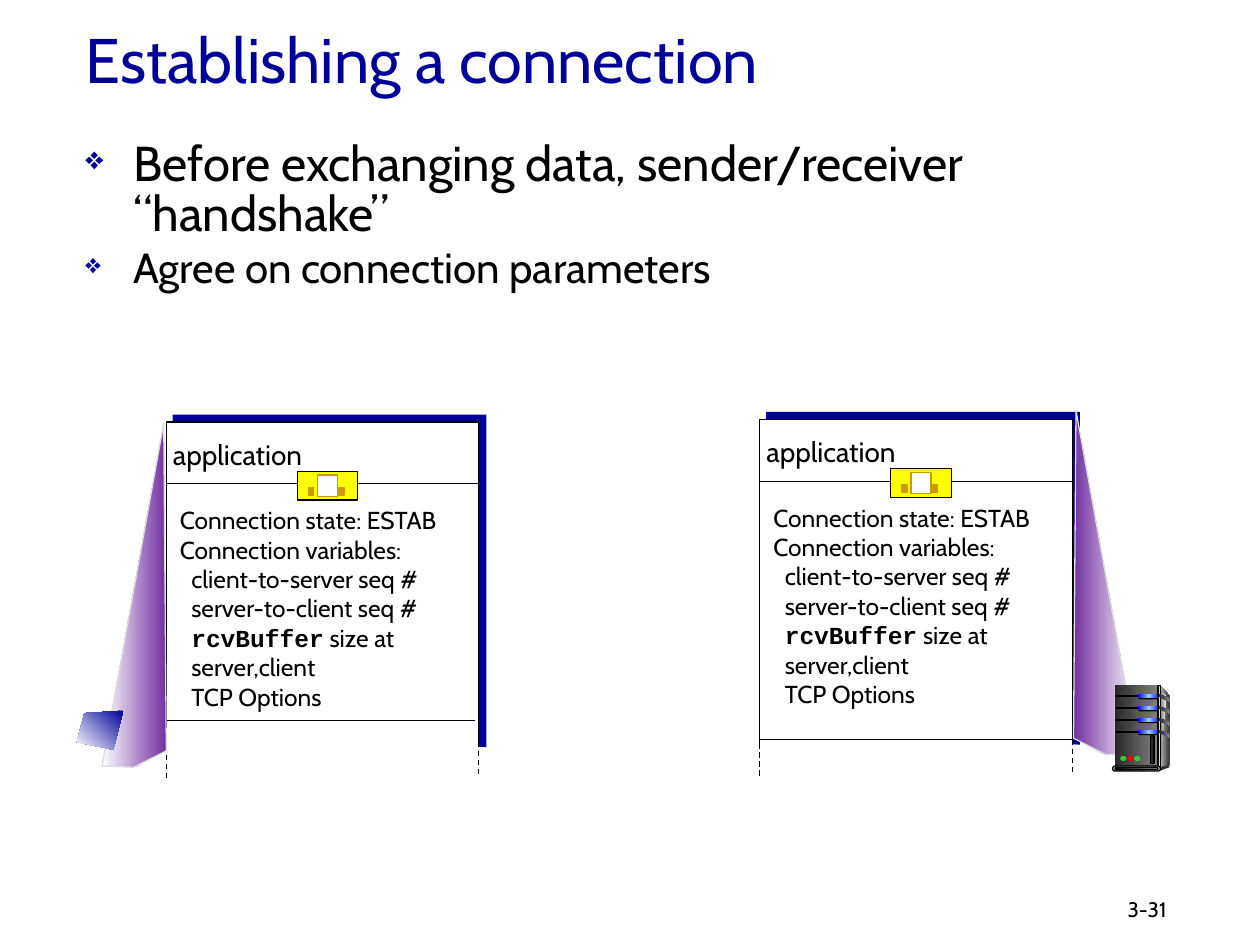
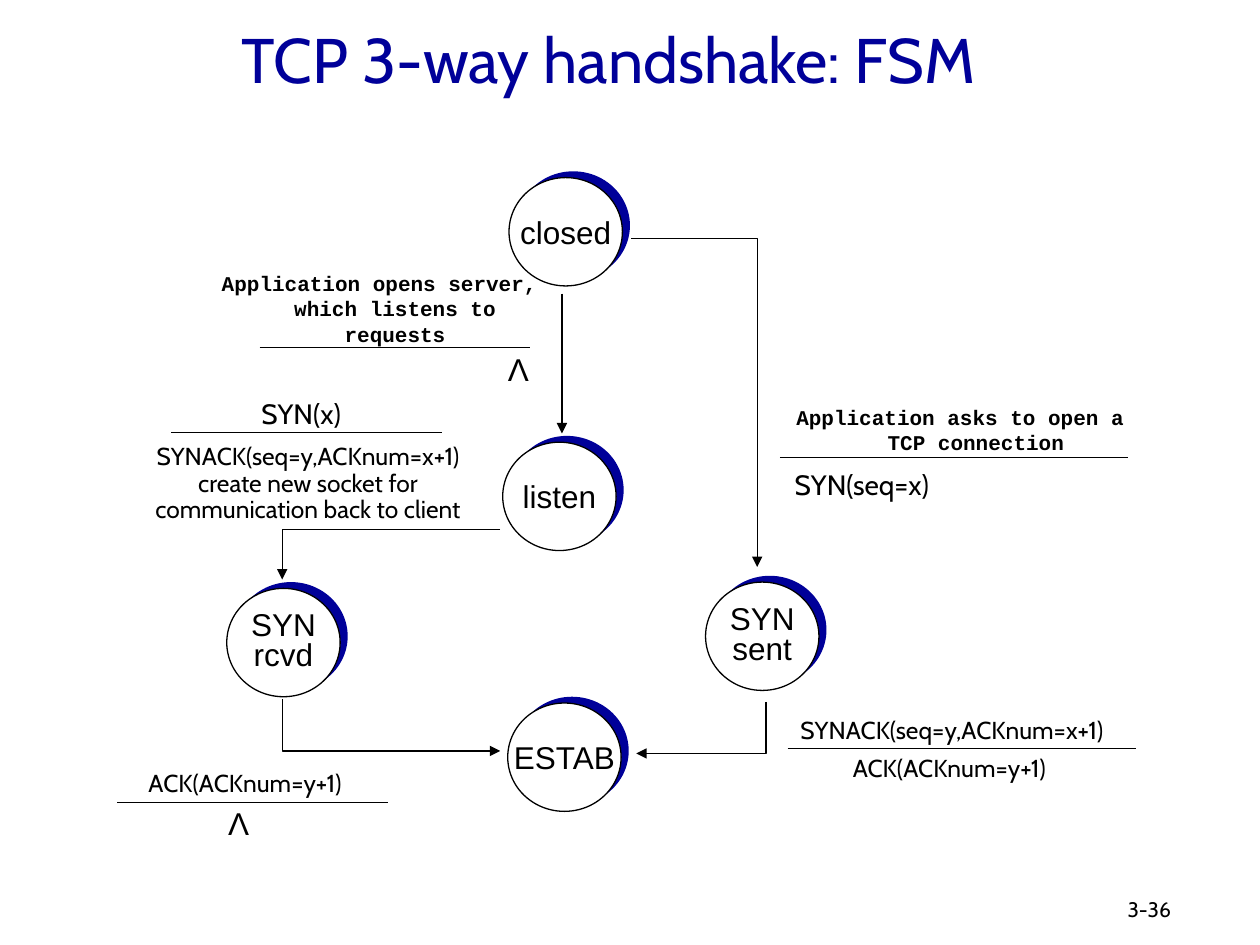
from lxml.etree import SubElement
from pptx import Presentation
from pptx.dml.color import RGBColor
from pptx.enum.dml import MSO_LINE
from pptx.enum.shapes import MSO_CONNECTOR, MSO_SHAPE
from pptx.enum.text import MSO_ANCHOR, PP_ALIGN
from pptx.oxml.ns import qn
from pptx.util import Inches, Pt

COLORS = {
    "navy": "000099", "black": "000000", "white": "FFFFFF", "yellow": "FFFF00",
    "ochre": "CC9900", "purple": "7030A0", "light": "DDDDDD", "dark": "333333",
    "coal": "292929", "gray": "808080", "pale": "F8F8F8", "blue": "0000FF",
    "sky": "99CCFF", "green": "33CC33", "red": "FF0000",
}
SANS, ARIAL, MONO = "Cabin", "Arial", "Courier New"
WIDTH, HEIGHT = 10, 7.5
TITLE_BOX = (0.58, 0.05, 8.5, 0.83)
NUMBER_BOX = (8.85, 7.07, 0.99, 0.3)

# ---- Content: establishing a connection ----
BULLETS = [("Before exchanging data, sender/receiver “handshake”", 28),
           ("Agree on connection parameters", 24)]
CONNECTION_STATE = ["Connection state: ESTAB", "Connection variables:"]
CONNECTION_VARIABLES = [
    "client-to-server seq #", "server-to-client seq #",
    [("rcvBuffer", MONO, True), (" size at", SANS, False)],
    "server,client", "TCP Options",
]
# Body corner, bottom rule (offset from the corner), wedge edge and direction
PANELS = [
    {"corner": (6.03, 3.33), "rule": (0, 2.54), "edge": (8.52, 3.26), "out": 1},
    {"corner": (1.32, 3.35), "rule": (-0.03, 2.37), "edge": (1.32, 3.36), "out": -1},
]
WEDGE = [(0.51, 2.72), (0.02, 0), (0, 2.6), (0.26, 2.73)]
LAPTOP_SCREEN = [(0.98, 5.64), (0.67, 5.66), (0.61, 5.89), (0.9, 5.95)]

# ---- Content: state machine ----
STATES = [  # lines, left and top of the face
    (["closed"], 4.04, 1.41),
    (["listen"], 3.99, 3.51),
    (["SYN", "rcvd"], 1.8, 4.67),
    (["SYN", "sent"], 5.6, 4.62),
    (["ESTAB"], 4.03, 5.58),
]
STATE_SIZE = (0.9, 0.86)
TRANSITIONS = [  # corner points, the arrow ends at the last
    [(5.01, 1.89), (6.01, 1.89), (6.01, 4.5)],
    [(4.46, 2.33), (4.46, 3.44)],
    [(3.97, 4.2), (2.24, 4.2), (2.24, 4.6)],
    [(2.24, 5.55), (2.24, 5.96), (3.97, 5.96)],
    [(6.08, 5.57), (6.08, 5.98), (5.05, 5.98)],
]
EVENTS = [  # what the application does
    ("Application asks to open a TCP connection", (6.04, 3.16, 3.16, 0.5)),
    ("Application opens server, which listens to requests", (1.6, 2.1, 2.82, 0.71)),
]
MESSAGES = [  # lines, box, size, font, line spacing
    (["Λ"], (3.93, 2.73, 0.37, 0.4), 18, ARIAL, None),
    (["Λ"], (1.71, 6.33, 0.37, 0.4), 18, ARIAL, None),
    (["SYN(seq=x)"], (6.15, 3.66, 1.38, 0.37), 16, SANS, None),
    (["SYN(x)"], (1.95, 3.1, 0.88, 0.37), 16, SANS, None),
    (["SYNACK(seq=y,ACKnum=x+1)", "create new socket for",
      "communication back to client"], (1.02, 3.48, 2.85, 0.72), 14, SANS, 0.9),
    (["SYNACK(seq=y,ACKnum=x+1)"], (6.13, 5.65, 2.85, 0.31), 14, SANS, 0.9),
    (["ACK(ACKnum=y+1)"], (6.58, 5.95, 1.91, 0.31), 14, SANS, 0.9),
    (["ACK(ACKnum=y+1)"], (0.99, 6.07, 1.91, 0.31), 14, SANS, 0.9),
]
FRACTION_BARS = [(6.19, 3.63, 2.76), (2.06, 2.76, 2.15), (1.36, 3.43, 2.15),
                 (6.25, 5.94, 2.77), (0.93, 6.37, 2.15)]  # left, top, length


# ---- Drawing helpers ----
def rgb(name):
    return RGBColor.from_string(COLORS[name])


def paint(shape, fill=None, line=None, angle=0):
    """Fill with one colour name, or with a gradient for a list of names."""
    shape.shadow.inherit = False
    if isinstance(fill, list):
        shape.fill.gradient()
        gradient = shape._element.spPr.find(qn("a:gradFill"))
        gradient.find(qn("a:lin")).set("ang", str(angle * 60000))
        stops = gradient.find(qn("a:gsLst"))
        for stop in list(stops):
            stops.remove(stop)
        for index, name in enumerate(fill):
            position = index * 100000 // (len(fill) - 1)
            stop = SubElement(stops, qn("a:gs"), pos=str(position))
            SubElement(stop, qn("a:srgbClr"), val=COLORS[name])
    elif fill:
        shape.fill.solid()
        shape.fill.fore_color.rgb = rgb(fill)
    else:
        shape.fill.background()
    if line:
        shape.line.color.rgb = rgb(line)
        shape.line.width = Pt(0.75)
    else:
        shape.line.fill.background()
    return shape


def add_block(shapes, box, fill, line=None, kind=MSO_SHAPE.RECTANGLE):
    shape = paint(shapes.add_shape(kind, *map(Inches, box)), fill, line)
    if kind == MSO_SHAPE.ROUNDED_RECTANGLE:
        shape.adjustments[0] = 0.5
    return shape


def add_outline(shapes, points, fill=None, line=None, angle=0, close=True):
    points = [(Inches(x), Inches(y)) for x, y in points]
    builder = shapes.build_freeform(*points[0])
    builder.add_line_segments(points[1:], close=close)
    return paint(builder.convert_to_shape(), fill, line, angle)


def add_line(shapes, start, end, dashed=False):
    line = shapes.add_connector(MSO_CONNECTOR.STRAIGHT, *map(Inches, start + end))
    line.line.color.rgb = rgb("black")
    line.line.width = Pt(0.75)
    if dashed:
        line.line.dash_style = MSO_LINE.DASH
    SubElement(line._element.spPr, qn("a:effectLst"))
    return line


def add_arrowhead(shape):
    line = shape._element.spPr.find(qn("a:ln"))
    SubElement(line, qn("a:tailEnd"), type="triangle")


def write(frame, lines, size, font=SANS, color="black", bold=False,
          align=PP_ALIGN.LEFT, spacing=None):
    """Write lines; a line is a string or a list of (text, font, bold) runs."""
    for index, line in enumerate(lines):
        paragraph = frame.paragraphs[0] if index == 0 else frame.add_paragraph()
        paragraph.alignment = align
        if spacing:
            paragraph.line_spacing = spacing
        for text, face, heavy in ([(line, font, bold)] if isinstance(line, str) else line):
            run = paragraph.add_run()
            run.text = text
            run.font.name, run.font.bold, run.font.size = face, heavy, Pt(size)
            run.font.color.rgb = rgb(color)
    return frame


def add_text(shapes, box, lines, size, wrap=True, anchor=MSO_ANCHOR.TOP, **style):
    frame = shapes.add_textbox(*map(Inches, box)).text_frame
    frame.word_wrap = wrap
    frame.vertical_anchor = anchor
    return write(frame, lines, size, **style)


def set_indent(paragraph, left, first=0):
    properties = paragraph._p.get_or_add_pPr()
    properties.set("marL", str(Inches(left)))
    properties.set("indent", str(Inches(first)))
    return properties


def start_slide(presentation, title, number, align=PP_ALIGN.LEFT):
    slide = presentation.slides.add_slide(presentation.slide_layouts[6])
    add_text(slide.shapes, TITLE_BOX, [title], 36, color="navy", align=align,
             anchor=MSO_ANCHOR.MIDDLE)
    add_text(slide.shapes, NUMBER_BOX, [number], 12)
    return slide.shapes


# ---- Parts of the connection slide ----
def add_bullets(shapes):
    frame = add_text(shapes, (0.58, 1.07, 9.26, 1.99), [text for text, _ in BULLETS],
                     28, spacing=0.85)
    for paragraph, (_, size) in zip(frame.paragraphs, BULLETS):
        paragraph.runs[0].font.size = Pt(size)
        paragraph.space_before = Pt(size * 0.2)
        properties = set_indent(paragraph, 0.38, -0.38)
        SubElement(SubElement(properties, qn("a:buClr")), qn("a:srgbClr"),
                   val=COLORS["navy"])
        SubElement(properties, qn("a:buSzPct"), val="65000")
        SubElement(properties, qn("a:buChar"), char="❖")


def add_panel(shapes, corner, rule, edge, out):
    def at(x, y, *size):
        return (corner[0] + x, corner[1] + y) + size

    width = 2.48
    add_block(shapes, at(0.05, -0.06, 2.49, 2.64), "navy")
    add_block(shapes, at(0, 0, width, 2.7), "white", "black")
    add_line(shapes, at(0, 0.49), at(width, 0.49))
    frame = add_text(shapes, at(0.01, 0.61, 2.55, 1.99),
                     CONNECTION_STATE + CONNECTION_VARIABLES, 14)
    for paragraph in frame.paragraphs[len(CONNECTION_STATE):]:
        set_indent(paragraph, 0.09)

    # Socket on the divider
    socket = shapes.add_group_shape().shapes
    add_block(socket, at(1.04, 0.39, 0.48, 0.23), "yellow", "black")
    add_block(socket, at(1.2, 0.42, 0.16, 0.17), "white", "ochre")
    for x in (1.13, 1.37):
        add_block(socket, at(x, 0.52, 0.04, 0.06), "ochre", "ochre")
    add_text(shapes, at(-0.06, 0.07, 1.25, 0.37), ["application"], 16, wrap=False,
             align=PP_ALIGN.CENTER)

    # Open lower end
    add_line(shapes, at(*rule), at(rule[0] + width, rule[1]))
    add_block(shapes, at(-0.03, 2.58, 2.55, 0.2), "white")
    for x, y in ((0, 2.57), (width, 2.54)):
        add_line(shapes, at(x, y), at(x, y + 0.26), dashed=True)
    add_outline(shapes, [(edge[0] + out * x, edge[1] + y) for x, y in WEDGE],
                ["purple", "white"], "light", 0 if out > 0 else 180)


def add_server(shapes):
    server = shapes.add_group_shape().shapes
    add_outline(server, [(9.21, 5.44), (9.28, 5.52), (9.28, 6.07), (9.19, 6.1)],
                ["light", "dark"])
    add_block(server, (8.85, 5.44, 0.34, 0.65), ["coal", "gray"])
    add_outline(server, [(9.21, 5.48), (9.26, 5.53), (9.23, 5.8), (9.21, 6.08)],
                ["gray", "pale"])
    pill = MSO_SHAPE.ROUNDED_RECTANGLE
    bays = [5.51 + 0.095 * row for row in range(4)]
    for top in bays:
        add_block(server, (8.86, top + 0.01, 0.19, 0.01), "black", "black")
        add_block(server, (9.03, top, 0.19, 0.04), "black", kind=pill)
        add_block(server, (9.03, top, 0.18, 0.03), ["blue", "sky", "blue"], kind=pill)
    add_block(server, (9.19, 5.44, 0.02, 0.65), ["dark", "light", "dark"], "black")
    for top in bays:
        add_outline(server, [(9.2, top), (9.28, top + 0.03), (9.28, top + 0.06),
                             (9.2, top + 0.02)], ["coal", "gray"])

    # Foot, lamps and slot
    add_outline(server, [(9.2, 6.09), (9.2, 6.12), (9.28, 6.09), (9.28, 6.07)], "dark")
    add_block(server, (8.83, 6.08, 0.38, 0.04), "light", "black", pill)
    add_block(server, (8.85, 6.09, 0.34, 0.02), ["black", "gray"], "black", pill)
    for index, color in enumerate(("green", "red", "green")):
        add_block(server, (8.89 + 0.055 * index, 6, 0.05, 0.04), color,
                  kind=MSO_SHAPE.OVAL)
    add_block(server, (9.13, 5.84, 0.03, 0.22), "coal", "black")


# ---- Parts of the state machine slide ----
def add_state(shapes, lines, left, top):
    state = shapes.add_group_shape().shapes
    add_block(state, (left + 0.06, top - 0.05) + STATE_SIZE, "navy", kind=MSO_SHAPE.OVAL)
    face = add_block(state, (left, top) + STATE_SIZE, "white", "black", MSO_SHAPE.OVAL)
    frame = face.text_frame
    frame.word_wrap = False
    frame.vertical_anchor = MSO_ANCHOR.MIDDLE
    frame.margin_left = frame.margin_right = frame.margin_top = frame.margin_bottom = 0
    write(frame, lines, 18, font=ARIAL, align=PP_ALIGN.CENTER,
          spacing=0.8 if len(lines) > 1 else None)


def add_transition(shapes, points):
    if len(points) == 2:
        arrow = add_line(shapes, *points)
    else:
        arrow = add_outline(shapes, points, line="black", close=False)
    add_arrowhead(arrow)


def main():
    presentation = Presentation()
    presentation.slide_width, presentation.slide_height = Inches(WIDTH), Inches(HEIGHT)

    shapes = start_slide(presentation, "Establishing a connection", "3-31")
    add_bullets(shapes)
    for panel in PANELS:
        add_panel(shapes, **panel)
    add_outline(shapes, LAPTOP_SCREEN, ["navy", "white"], angle=135)
    add_server(shapes)

    shapes = start_slide(presentation, "TCP 3-way handshake: FSM", "3-36", PP_ALIGN.CENTER)
    for state in STATES:
        add_state(shapes, *state)
    for points in TRANSITIONS:
        add_transition(shapes, points)
    for text, box in EVENTS:
        frame = add_text(shapes, box, [text], 12, font=MONO, bold=True,
                         align=PP_ALIGN.CENTER)
        set_indent(frame.paragraphs[0], 0.25, -0.25)
    for lines, box, size, font, spacing in MESSAGES:
        add_text(shapes, box, lines, size, wrap=False, font=font, spacing=spacing,
                 align=PP_ALIGN.CENTER)
    for left, top, length in FRACTION_BARS:
        add_line(shapes, (left, top), (left + length, top))

    presentation.save("out.pptx")


if __name__ == "__main__":
    main()
